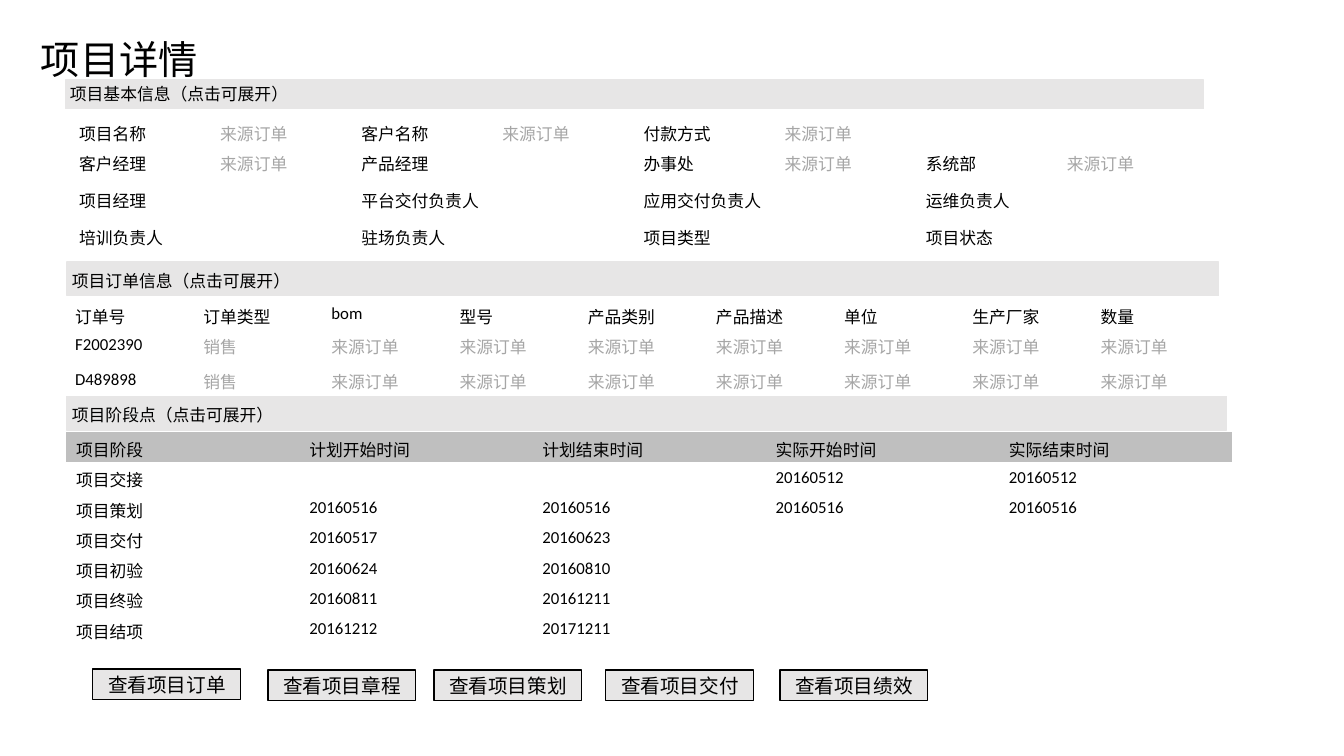
import pptx
import pptx.util
import pptx.dml.color
import pptx.enum.shapes
import pptx.enum.text
import lxml.etree

SOURCE = "来源订单"
MUTED = {SOURCE, "销售"}
TITLE = "项目详情"

# Heading text, bar (left, top, width, height), label (left, top)
SECTIONS = [
    ("项目基本信息（点击可展开）", (66, 80, 1138, 29), (60, 79)),
    ("项目订单信息（点击可展开）", (67, 262, 1152, 34), (62, 266)),
    ("项目阶段点（点击可展开）", (67, 396, 1160, 34), (62, 400)),
]
BASIC_INFO = [
    ["项目名称", SOURCE, "客户名称", SOURCE, "付款方式", SOURCE, "", ""],
    ["客户经理", SOURCE, "产品经理", "", "办事处", SOURCE, "系统部", SOURCE],
    ["项目经理", "", "平台交付负责人", "", "应用交付负责人", "", "运维负责人", ""],
    ["培训负责人", "", "驻场负责人", "", "项目类型", "", "项目状态", ""],
]
ORDERS = [
    ["订单号", "订单类型", "bom", "型号", "产品类别", "产品描述", "单位", "生产厂家", "数量"],
    ["F2002390", "销售"] + [SOURCE] * 7,
    ["D489898", "销售"] + [SOURCE] * 7,
]
STAGES = [
    ["项目阶段", "计划开始时间", "计划结束时间", "实际开始时间", "实际结束时间"],
    ["项目交接", "", "", "20160512", "20160512"],
    ["项目策划", "20160516", "20160516", "20160516", "20160516"],
    ["项目交付", "20160517", "20160623", "", ""],
    ["项目初验", "20160624", "20160810", "", ""],
    ["项目终验", "20160811", "20161211", "", ""],
    ["项目结项", "20161212", "20171211", "", ""],
]
# Button text, left, top
BUTTONS = [
    ("查看项目订单", 93, 669),
    ("查看项目章程", 268, 670),
    ("查看项目策划", 434, 670),
    ("查看项目交付", 606, 670),
    ("查看项目绩效", 780, 670),
]
BLACK, GREY, PALE, HEADER = "000000", "A6A6A6", "E7E6E6", "BFBFBF"
NO_STYLE = "{2D5ABB26-0587-4C30-8999-92F81FD0307C}"
DRAWING = "{http://schemas.openxmlformats.org/drawingml/2006/main}"
MIDDLE = pptx.enum.text.MSO_ANCHOR.MIDDLE


def px(length):
    return pptx.util.Emu(round(length * 914400 / 100.8))


def color(hex_value):
    return pptx.dml.color.RGBColor.from_string(hex_value)


def write(frame, text, size, font, hex_value=BLACK):
    para = frame.paragraphs[0]
    span = para.add_run()
    span.text = text
    span.font.size = pptx.util.Pt(size)
    span.font.name = font
    span.font.color.rgb = color(hex_value)
    return para


def add_label(text, left, top, width, height, size, font):
    box = page.shapes.add_textbox(px(left), px(top), px(width), px(height))
    box.text_frame.word_wrap = True
    write(box.text_frame, text, size, font)
    return box


def add_bar(left, top, width, height, line):
    bar = page.shapes.add_shape(pptx.enum.shapes.MSO_SHAPE.RECTANGLE,
                                px(left), px(top), px(width), px(height))
    bar.shadow.inherit = False
    bar.fill.solid()
    bar.fill.fore_color.rgb = color(PALE)
    bar.line.color.rgb = color(line)
    bar.line.width = pptx.util.Pt(0.75)
    return bar


def add_grid(rows, left, top, width, heights, header_fill=None):
    count = len(rows[0])
    grid = page.shapes.add_table(len(rows), count, px(left), px(top),
                                 px(width), px(sum(heights))).table
    grid.first_row = grid.horz_banding = False
    grid._tbl.tblPr.find(DRAWING + "tableStyleId").text = NO_STYLE
    for column in grid.columns:
        column.width = px(width / count)
    for r, (values, height) in enumerate(zip(rows, heights)):
        grid.rows[r].height = px(height)
        for c, value in enumerate(values):
            cell = grid.cell(r, c)
            if header_fill and r == 0:
                cell.fill.solid()
                cell.fill.fore_color.rgb = color(header_fill)
            else:
                cell.fill.background()
            if value:
                write(cell.text_frame, value, 12, "Calibri",
                      GREY if value in MUTED else BLACK)
            else:
                # Keeps an empty cell from stretching its row
                lxml.etree.SubElement(cell.text_frame.paragraphs[0]._p,
                                      DRAWING + "endParaRPr", sz="1200")
    return grid


deck = pptx.Presentation()
deck.slide_width, deck.slide_height = px(1344), px(756)
page = deck.slides.add_slide(deck.slide_layouts[6])

# Title and section headings
title = add_label(TITLE, 31, 19, 1018, 79, 28, "Calibri")
title.text_frame.vertical_anchor = MIDDLE
for heading, bar_place, (left, top) in SECTIONS:
    add_bar(*bar_place, PALE)
    add_label(heading, left, top, 865, 30, 12, "Arial")

# Tables
basic_grid = add_grid(BASIC_INFO, 69, 116, 1129, [30, 37, 37, 37])
basic_grid.cell(0, 5).merge(basic_grid.cell(0, 7))
add_grid(ORDERS, 65, 299, 1154, [30, 35, 35])
add_grid(STAGES, 66, 432, 1166, [30] * len(STAGES), HEADER)

# Buttons
for text, left, top in BUTTONS:
    button = add_bar(left, top, 148, 31, BLACK)
    button.text_frame.word_wrap = False
    button.text_frame.vertical_anchor = MIDDLE
    para = write(button.text_frame, text, 14, "Arial")
    para.alignment = pptx.enum.text.PP_ALIGN.CENTER

deck.save("out.pptx")
